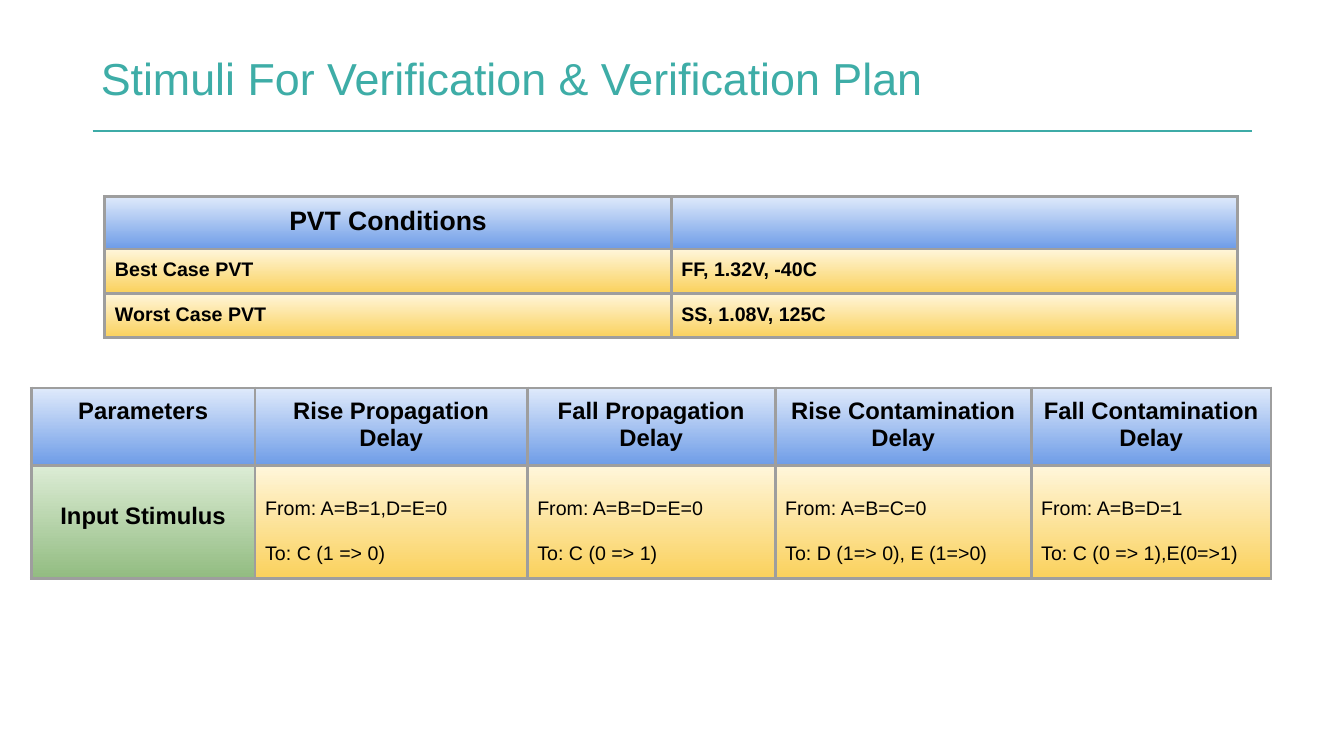
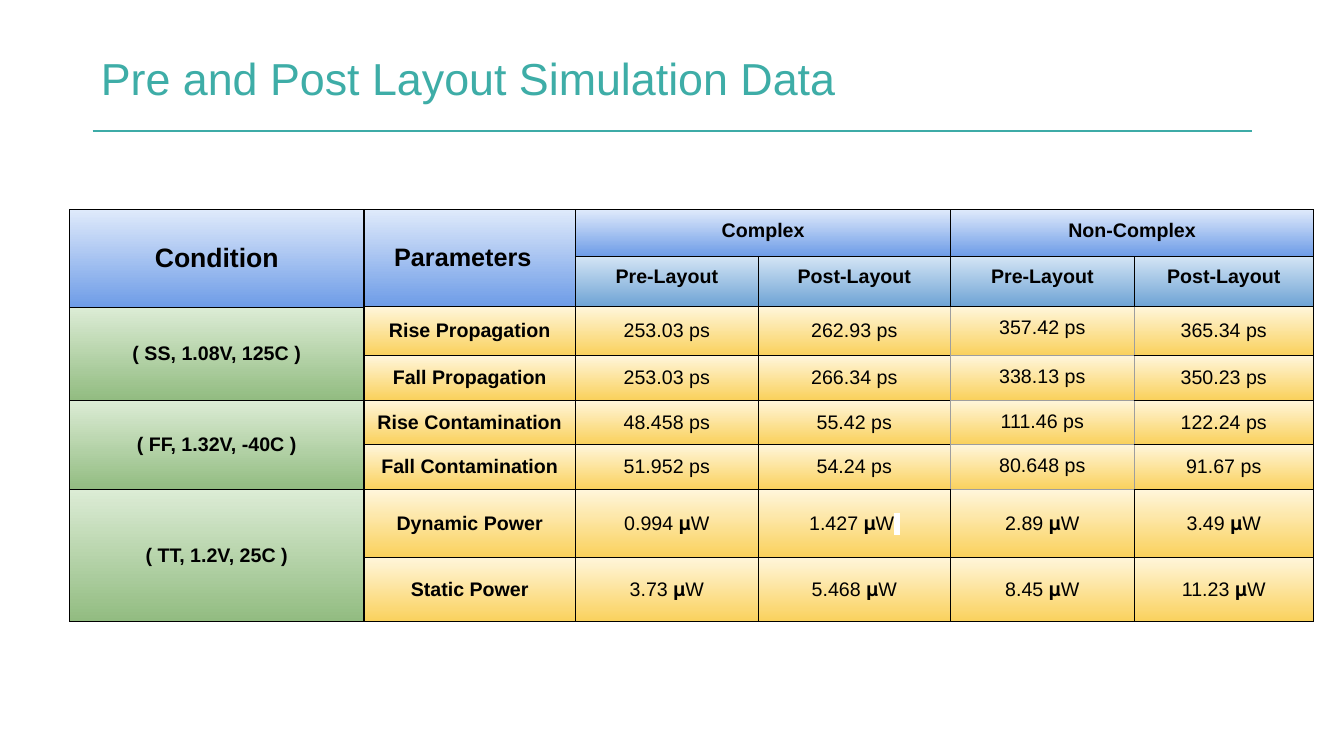
from dataclasses import dataclass, replace

from lxml import etree
from pptx import Presentation
from pptx import util as u
from pptx.dml import color
from pptx.enum import shapes, text
from pptx.oxml import ns

CENTER = text.PP_ALIGN.CENTER
LEFT = text.PP_ALIGN.LEFT
TOP = text.MSO_ANCHOR.TOP
MIDDLE = text.MSO_ANCHOR.MIDDLE


@dataclass(frozen=True)
class Theme:
    font: str = "Arial"
    title: str = "3EADA7"
    rule: str = "3DABA7"
    ink: str = "000000"
    grey: str = "9E9E9E"
    paper: str = "FFFFFF"
    blue: tuple[str, str] = ("DFEAFB", "6E9CE7")
    sky: tuple[str, str] = ("D4E5F5", "70A4D5")
    green: tuple[str, str] = ("DCECD5", "92BC81")
    yellow: tuple[str, str] = ("FFF6DB", "FAD15C")
    title_size: float = 32
    large: float = 19
    medium: float = 18
    heading: float = 17
    body: float = 14
    mark: float = 13.5
    line_gap: float = 16
    hairline: float = 0.75
    thick: float = 2.25
    inset: float = 0.1


THEME = Theme()
WIDTH, HEIGHT = u.Inches(13.333), u.Inches(7.5)


@dataclass(frozen=True)
class Look:
    fill: tuple[str, str]
    size: float = THEME.body
    bold: bool = True
    align: text.PP_ALIGN = CENTER
    anchor: text.MSO_ANCHOR = TOP
    left: float = THEME.inset
    top: float = THEME.inset


@dataclass(frozen=True)
class Cell:
    lines: tuple[str, ...]
    look: Look
    marked: bool = False


@dataclass(frozen=True)
class Grid:
    left: float
    top: float
    columns: tuple[float, ...]
    rows: tuple[float, ...]
    cells: list[list[Cell]]
    border: str = THEME.ink
    weight: float = THEME.hairline
    grey_cells: frozenset[tuple[int, int]] = frozenset()


def across(percent: float) -> int:
    return round(WIDTH * percent / 100)


def down(percent: float) -> int:
    return round(HEIGHT * percent / 100)


def add_span(para, words: str, size: float, ink: str, bold: bool = False):
    span = para.add_run()
    span.text = words
    span.font.name = THEME.font
    span.font.size = u.Pt(size)
    span.font.bold = bold
    span.font.color.rgb = color.RGBColor.from_string(ink)
    return span


def highlight(span, tint: str) -> None:
    mark = etree.Element(ns.qn("a:highlight"))
    etree.SubElement(mark, ns.qn("a:srgbClr"), val=tint)
    span.font._element.find(ns.qn("a:solidFill")).addnext(mark)


def add_page(deck, title: str):
    page = deck.slides.add_slide(deck.slide_layouts[6])
    rule = page.shapes.add_connector(
        shapes.MSO_CONNECTOR.STRAIGHT,
        across(6.9), down(17.33), across(93.15), down(17.33))
    rule.line.color.rgb = color.RGBColor.from_string(THEME.rule)
    rule.line.width = u.Pt(THEME.hairline)
    etree.SubElement(rule._element.spPr, ns.qn("a:effectLst"))
    box = page.shapes.add_textbox(across(7.5), down(6.67), across(64.5), down(7.2))
    frame = box.text_frame
    frame.word_wrap = True
    frame.margin_left = frame.margin_right = 0
    frame.margin_top = frame.margin_bottom = 0
    add_span(frame.paragraphs[0], title, THEME.title_size, THEME.title)
    return page


def draw_borders(box, grid: Grid, row: int, column: int) -> None:
    neighbours = {"a:lnL": (row, column - 1), "a:lnR": (row, column + 1),
                  "a:lnT": (row - 1, column), "a:lnB": (row + 1, column)}
    for index, (tag, neighbour) in enumerate(neighbours.items()):
        is_grey = bool({(row, column), neighbour} & grid.grey_cells)
        edge = etree.Element(ns.qn(tag), w=str(u.Pt(grid.weight)))
        fill = etree.SubElement(edge, ns.qn("a:solidFill"))
        etree.SubElement(fill, ns.qn("a:srgbClr"),
                         val=THEME.grey if is_grey else grid.border)
        box._tc.get_or_add_tcPr().insert(index, edge)


def fill_cell(box, cell: Cell) -> None:
    look = cell.look
    box.fill.gradient()
    box.fill.gradient_angle = 270
    for stop, tint in zip(box.fill.gradient_stops, look.fill):
        stop.color.rgb = color.RGBColor.from_string(tint)
    box.vertical_anchor = look.anchor
    box.margin_left, box.margin_top = u.Inches(look.left), u.Inches(look.top)
    box.margin_right = box.margin_bottom = u.Inches(THEME.inset)
    for index, line in enumerate(cell.lines):
        if index:
            para = box.text_frame.add_paragraph()
            para.space_before = u.Pt(THEME.line_gap)
        else:
            para = box.text_frame.paragraphs[0]
        para.alignment = look.align
        add_span(para, line, look.size, THEME.ink, look.bold)
        if cell.marked:
            highlight(add_span(para, " ", THEME.mark, THEME.ink), THEME.paper)


def add_grid(page, grid: Grid) -> None:
    table = page.shapes.add_table(
        len(grid.rows), len(grid.columns), across(grid.left), down(grid.top),
        across(sum(grid.columns)), down(sum(grid.rows))).table
    table.first_row = table.horz_banding = False
    for column, share in zip(table.columns, grid.columns):
        column.width = across(share)
    for row, share in zip(table.rows, grid.rows):
        row.height = down(share)
    for row, cells in enumerate(grid.cells):
        for column, cell in enumerate(cells):
            box = table.cell(row, column)
            fill_cell(box, cell)
            draw_borders(box, grid, row, column)


def row_of(look: Look, *words: str) -> list[Cell]:
    return [Cell((word,), look) for word in words]


def build_plan(deck) -> None:
    page = add_page(deck, "Stimuli For Verification & Verification Plan")
    heading = Look(THEME.blue, THEME.heading)
    stimulus = Look(THEME.yellow, bold=False, align=LEFT, top=0.32)
    signals = [
        ("From: A=B=1,D=E=0", "To: C (1 => 0)"),
        ("From: A=B=D=E=0", "To: C (0 => 1)"),
        ("From: A=B=C=0", "To: D (1=> 0), E (1=>0)"),
        ("From: A=B=D=1", "To: C (0 => 1),E(0=>1)"),
    ]
    add_grid(page, Grid(
        2.33, 51.33, (16.65, 20.25, 18.45, 19.05, 17.85), (10.27, 14.93),
        [row_of(heading, "Parameters", "Rise Propagation Delay",
                "Fall Propagation Delay", "Rise Contamination Delay",
                "Fall Contamination Delay"),
         row_of(Look(THEME.green, THEME.heading, top=0.37), "Input Stimulus")
         + [Cell(lines, stimulus) for lines in signals]],
        THEME.grey, THEME.thick))
    title = Look(THEME.blue, THEME.large)
    case = Look(THEME.yellow, align=LEFT)
    add_grid(page, Grid(
        7.8, 26, (42.15, 42.15), (6.93, 5.87, 5.87),
        [row_of(title, "PVT Conditions") + [Cell((), title)],
         row_of(case, "Best Case PVT", "FF, 1.32V, -40C"),
         row_of(case, "Worst Case PVT", "SS, 1.08V, 125C")],
        THEME.grey, THEME.thick))


def build_results(deck) -> None:
    page = add_page(deck, "Pre and Post Layout Simulation Data")
    left, top = 5.18, 27.73
    condition, parameter = 21.9, 15.75
    layouts = (13.58, 14.33, 13.65, 13.35)
    group_height, layout_height = 6.13, 6.67
    head_height = group_height + layout_height
    parameter_left = left + condition
    layout_left = parameter_left + parameter

    name = Look(THEME.yellow, anchor=MIDDLE)
    value = replace(name, bold=False)
    raised = replace(value, anchor=TOP)
    results = [
        ("Rise Propagation", "253.03 ps", "262.93 ps", "357.42 ps", "365.34 ps"),
        ("Fall Propagation", "253.03 ps", "266.34 ps", "338.13 ps", "350.23 ps"),
        ("Rise Contamination", "48.458 ps", "55.42 ps", "111.46 ps", "122.24 ps"),
        ("Fall Contamination", "51.952 ps", "54.24 ps", "80.648 ps", "91.67 ps"),
        ("Dynamic Power", "0.994 𝛍W", "1.427 𝛍W", "2.89 𝛍W", "3.49 𝛍W"),
        ("Static Power", "3.73 𝛍W", "5.468 𝛍W", "8.45 𝛍W", "11.23 𝛍W"),
    ]
    grey_cells = frozenset((row, 3) for row in range(4))
    cells = [
        row_of(name, label)
        + [Cell((figure,), raised if (row, column) in grey_cells else value,
                marked=(row, column) == (4, 2))
           for column, figure in enumerate(figures, 1)]
        for row, (label, *figures) in enumerate(results)
    ]
    add_grid(page, Grid(
        parameter_left, top + head_height, (parameter, *layouts),
        (6.53, 5.87, 5.87, 6, 8.93, 8.53), cells, grey_cells=grey_cells))

    corner = Look(THEME.blue, THEME.large, anchor=MIDDLE)
    corners = Look(THEME.green, anchor=MIDDLE)
    add_grid(page, Grid(
        left, top, (condition,), (12.93, 12.27, 11.87, 17.4),
        [row_of(corner, "Condition"),
         row_of(corners, "( SS, 1.08V, 125C )"),
         row_of(corners, "( FF, 1.32V, -40C )"),
         row_of(corners, "( TT, 1.2V, 25C )")]))
    add_grid(page, Grid(
        parameter_left, top, (parameter,), (head_height,),
        [row_of(replace(corner, size=THEME.medium, align=LEFT, left=0.3),
                "Parameters")]))
    add_grid(page, Grid(
        layout_left, top + group_height, layouts, (layout_height,),
        [row_of(Look(THEME.sky), *("Pre-Layout", "Post-Layout") * 2)]))
    add_grid(page, Grid(
        layout_left, top, (sum(layouts[:2]), sum(layouts[2:])), (group_height,),
        [row_of(Look(THEME.blue), "Complex", "Non-Complex")]))


def main() -> None:
    deck = Presentation()
    deck.slide_width, deck.slide_height = WIDTH, HEIGHT
    build_plan(deck)
    build_results(deck)
    deck.save("out.pptx")


if __name__ == "__main__":
    main()
